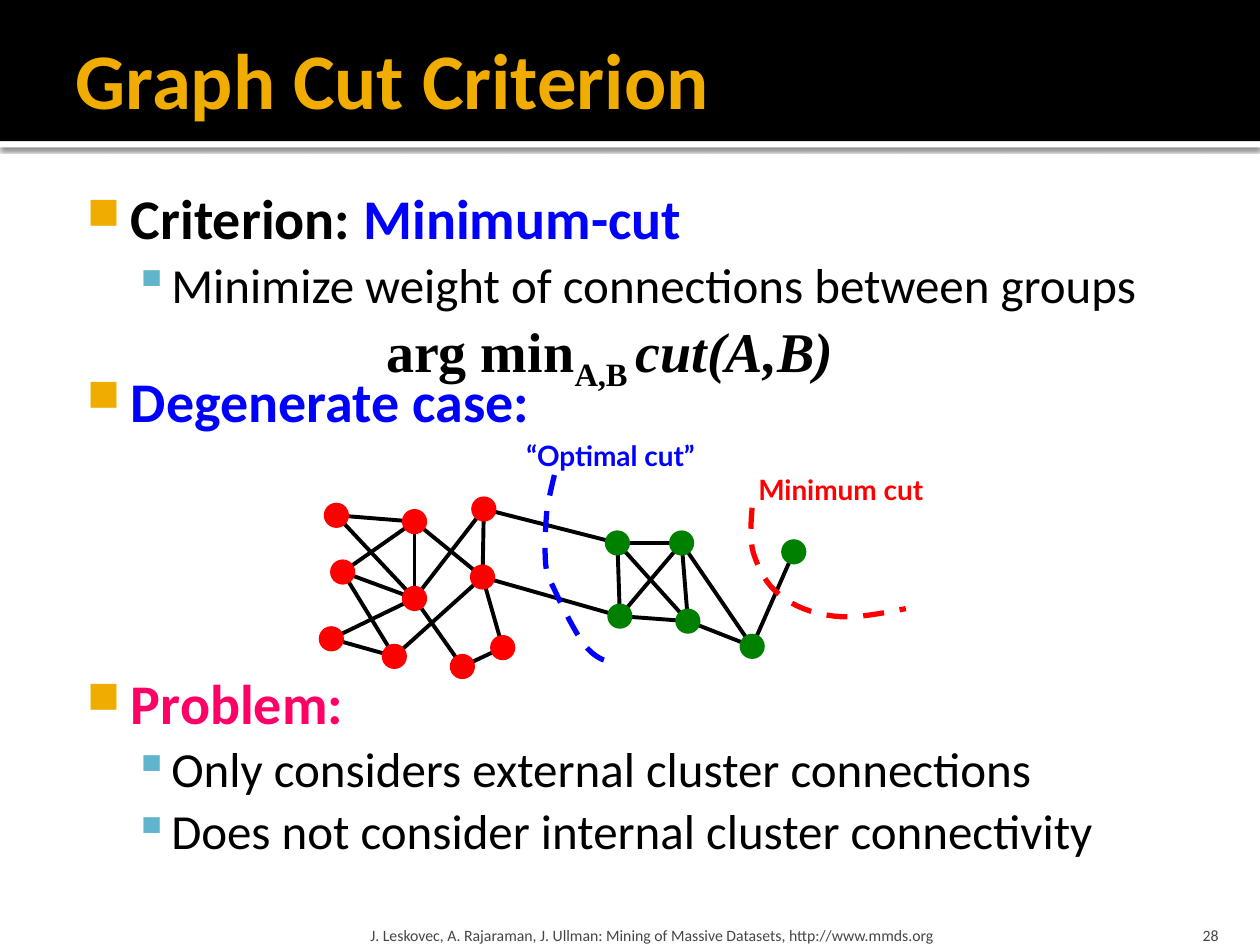
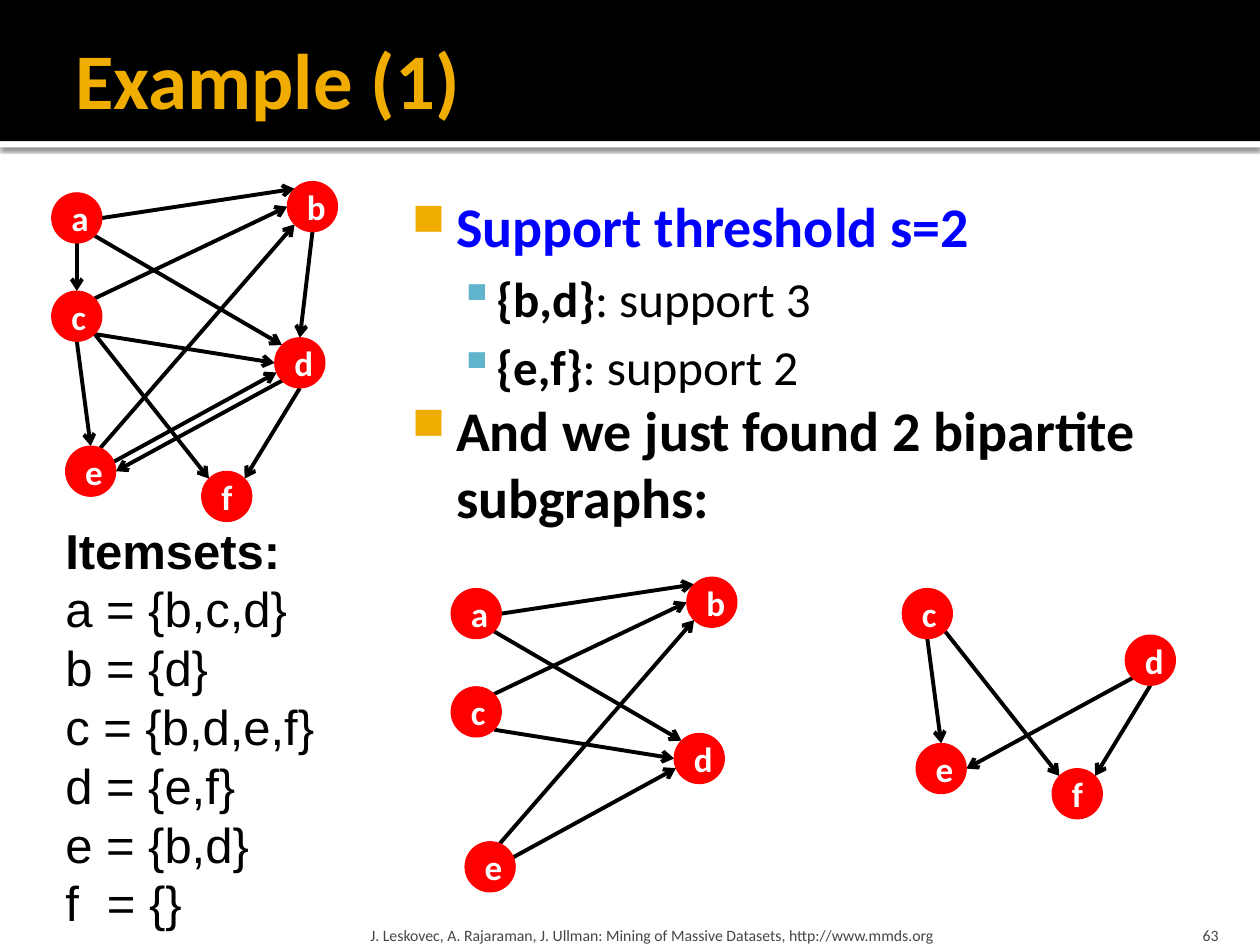
from math import cos, radians, sin

from lxml.etree import SubElement
from pptx import Presentation
from pptx.dml.color import RGBColor
from pptx.enum.dml import MSO_LINE as Dash
from pptx.enum.shapes import MSO_CONNECTOR as Connector, MSO_SHAPE as Shape
from pptx.enum.text import MSO_ANCHOR as Anchor, MSO_AUTO_SIZE as AutoSize, PP_ALIGN as Align
from pptx.oxml.ns import qn
from pptx.util import Pt

PX = 9144  # EMU per px, 100 px to the inch

BLACK = RGBColor(0x00, 0x00, 0x00)
WHITE = RGBColor(0xFF, 0xFF, 0xFF)
GOLD = RGBColor(0xF0, 0xAD, 0x00)
TEAL = RGBColor(0x60, 0xB5, 0xCC)
BLUE = RGBColor(0x00, 0x00, 0xFF)
RED = RGBColor(0xFF, 0x00, 0x00)
PINK = RGBColor(0xFF, 0x00, 0x66)
GREEN = RGBColor(0x00, 0x80, 0x00)
GRAY = RGBColor(0x45, 0x45, 0x45)

FOOTER = "J. Leskovec, A. Rajaraman, J. Ullman: Mining of Massive Datasets, http://www.mmds.org"
# Per outline level: left margin, hanging indent, text size, bullet, colour, percent
LEVELS = [(48, -35, 32, "■", GOLD, 80), (80, -30, 28, "▪", TEAL, 100)]
COMPASS = ["E", "ESE", "SE", "SSE", "S", "SSW", "SW", "WSW",
           "W", "WNW", "NW", "NNW", "N", "NNE", "NE", "ENE"]


class Deck:
    def __init__(self):
        self.prs = Presentation()
        self.prs.slide_width = 1000 * PX
        self.prs.slide_height = 750 * PX
        self.slide = None

    def new_slide(self, heading, number):
        self.slide = self.prs.slides.add_slide(self.prs.slide_layouts[5])
        # Title band with a shadowed white edge
        edge = self.shape(Shape.RECTANGLE, (0, 112, 1000, 5), WHITE)
        effects = edge._element.spPr.find(qn("a:effectLst"))
        shadow = SubElement(effects, qn("a:outerShdw"), blurRad=str(Pt(2.5)),
                            dist=str(Pt(0.8)), dir="5400000", rotWithShape="0")
        shade = SubElement(shadow, qn("a:srgbClr"), val=str(BLACK))
        SubElement(shade, qn("a:alpha"), val="60000")
        self.shape(Shape.RECTANGLE, (0, 0, 1000, 112), BLACK)
        # Title, in front of the band
        title = self.slide.shapes.title
        self.slide.shapes._spTree.append(title._element)
        title.left, title.top, title.width, title.height = (v * PX for v in (50, 8, 900, 108))
        self.frame(title, (10, 5, 5, 5), Anchor.MIDDLE)
        par = title.text_frame.paragraphs[0]
        par.alignment = Align.LEFT
        self.run(par, heading, 45, GOLD, bold=True)
        # Footer and page number
        self.text((289, 720, 602, 30), [[(FOOTER, 9, GRAY)]], (5, 5, 5, 0), Anchor.BOTTOM)
        self.text((897, 720, 80, 30), [[(number, 9, GRAY)]], (10, 5, 10, 0),
                  Anchor.BOTTOM, Align.RIGHT)

    def frame(self, box, insets, anchor, wrap=True):
        tf = box.text_frame
        tf.auto_size = AutoSize.NONE
        tf.word_wrap = wrap
        tf.vertical_anchor = anchor
        tf.margin_left, tf.margin_top, tf.margin_right, tf.margin_bottom = (
            v * PX for v in insets)
        return tf

    def run(self, par, words, size, color, bold=False, font="Calibri", italic=False, base=0):
        run = par.add_run()
        run.text = words
        run.font.size = Pt(size)
        run.font.name = font
        run.font.bold = bold
        run.font.italic = italic
        run.font.color.rgb = color
        if base:
            run._r.get_or_add_rPr().set("baseline", str(base * 1000))

    def text(self, area, paragraphs, insets=(10, 5, 10, 5), anchor=Anchor.TOP,
             align=Align.LEFT, wrap=True, leading=None, tab=None):
        box = self.slide.shapes.add_textbox(*(v * PX for v in area))
        tf = self.frame(box, insets, anchor, wrap)
        for i, runs in enumerate(paragraphs):
            par = tf.add_paragraph() if i else tf.paragraphs[0]
            par.alignment = align
            if leading:
                par.line_spacing = Pt(leading)
            if tab:
                tabs = SubElement(par._p.get_or_add_pPr(), qn("a:tabLst"))
                SubElement(tabs, qn("a:tab"), pos=str(tab * PX), algn="l")
            for run in runs:
                self.run(par, *run)

    def outline(self, area, items, line_spacing):
        """Each item is level, space before, and (words, colour, bold) runs."""
        box = self.slide.shapes.add_textbox(*(v * PX for v in area))
        tf = self.frame(box, (6, 10, 10, 5), Anchor.TOP)
        for i, (level, before, *runs) in enumerate(items):
            margin, indent, size, mark, color, percent = LEVELS[level]
            par = tf.add_paragraph() if i else tf.paragraphs[0]
            par.level = level
            par.line_spacing = line_spacing
            par.space_before = Pt(before)
            ppr = par._p.get_or_add_pPr()
            ppr.set("marL", str(margin * PX))
            ppr.set("indent", str(indent * PX))
            bullet_color = SubElement(ppr, qn("a:buClr"))
            SubElement(bullet_color, qn("a:srgbClr"), val=str(color))
            SubElement(ppr, qn("a:buSzPct"), val=str(percent * 1000))
            SubElement(ppr, qn("a:buChar"), char=mark)
            for words, ink, bold in runs:
                self.run(par, words, size, ink, bold)

    def shape(self, kind, area, fill):
        shape = self.slide.shapes.add_shape(kind, *(v * PX for v in area))
        shape.shadow.inherit = False
        shape.fill.solid()
        shape.fill.fore_color.rgb = fill
        shape.line.fill.background()
        return shape

    def node(self, center, radius, fill, label=None):
        x, y = center
        dot = self.shape(Shape.OVAL, (x - radius, y - radius, 2 * radius, 2 * radius), fill)
        if label:
            dot.line.color.rgb = fill
            dot.line.width = Pt(0.5)
            par = dot.text_frame.paragraphs[0]
            par.alignment = Align.CENTER
            self.run(par, label, 20, WHITE, bold=True)

    def edge(self, start, end, arrow=False):
        points = [round(v * PX) for v in (*start, *end)]
        line = self.slide.shapes.add_connector(Connector.STRAIGHT, *points)
        line.line.color.rgb = BLACK
        line.line.width = Pt(2.25)
        if arrow:
            SubElement(line.line._get_or_add_ln(), qn("a:tailEnd"), type="arrow")
        SubElement(line._element.spPr, qn("a:effectLst"))

    def dashed_curve(self, points, color, steps=8):
        """Draw joined cubic curves: a start, then three points for each curve."""
        trace = []
        for i in range(0, len(points) - 1, 3):
            for step in range(1, steps + 1):
                t = step / steps
                weights = ((1 - t) ** 3, 3 * t * (1 - t) ** 2, 3 * t * t * (1 - t), t ** 3)
                trace.append(tuple(
                    round(PX * sum(w * p[axis] for w, p in zip(weights, points[i:i + 4])))
                    for axis in (0, 1)))
        builder = self.slide.shapes.build_freeform(*(v * PX for v in points[0]), scale=1.0)
        builder.add_line_segments(trace, close=False)
        curve = builder.convert_to_shape()
        curve.shadow.inherit = False
        curve.fill.background()
        curve.line.color.rgb = color
        curve.line.width = Pt(3)
        curve.line.dash_style = Dash.DASH


def rim(center, direction, radius=20):
    angle = radians(22.5 * COMPASS.index(direction))
    return center[0] + radius * cos(angle), center[1] + radius * sin(angle)


def graph_cut(deck):
    deck.new_slide("Graph Cut Criterion", "28")
    deck.outline((50, 142, 900, 575), [
        (0, 0, ("Criterion: ", BLACK, True), ("Minimum-cut", BLUE, True)),
        (1, 5, ("Minimize weight of connections between groups", BLACK, False)),
        (0, 34.5, ("Degenerate case:", BLUE, True)),
        (0, 138, ("Problem:", PINK, True)),
        (1, 5, ("Only considers external cluster connections", BLACK, False)),
        (1, 5, ("Does not consider internal cluster connectivity", BLACK, False)),
    ], 0.9)
    serif = "Times New Roman"
    deck.text((273, 246, 422, 64), [[
        ("arg min", 32, BLACK, True, serif),
        ("A,B ", 32, BLACK, True, serif, False, -25),
        ("cut(A,B)", 32, BLACK, True, serif, True),
    ]], align=Align.CENTER)
    deck.text((408, 343, 174, 37), [[("“Optimal cut”", 16, BLUE, True, "Lato")]], wrap=False)
    deck.text((592, 370, 166, 37), [[("Minimum cut", 16, RED, True, "Lato")]], wrap=False)

    # Two clusters, with edges named by their end nodes
    left = {"A": (267, 409), "B": (329, 414), "C": (384, 404), "D": (383, 458),
            "E": (329, 475), "F": (272, 454), "G": (263, 507), "H": (313, 521),
            "I": (367, 529), "J": (399, 514)}
    right = {"K": (490, 431), "L": (541, 431), "M": (492, 489), "N": (546, 493),
             "O": (597, 513), "P": (630, 438)}
    centers = left | right
    for start, end in ("AB AE BD BE BF CD CE DH DJ EF EG EI FH GH IJ CK DM "
                       "KL KM KN LM LN LO MN NO OP").split():
        deck.edge(centers[start], centers[end])
    for cluster, color in ((left, RED), (right, GREEN)):
        for center in cluster.values():
            deck.node(center, 10, color)

    # The two cuts
    deck.dashed_curve([(597, 403), (596, 415), (595, 428), (598, 439), (602, 451),
                       (608, 464), (619, 472), (629, 481), (645, 487), (662, 489),
                       (679, 491), (699, 487), (719, 483)], RED)
    deck.dashed_curve([(440, 377), (438, 385), (436, 394), (434, 405), (433, 417),
                       (432, 436), (433, 447), (434, 458), (436, 459), (441, 470),
                       (446, 481), (457, 503), (464, 512), (472, 522), (479, 524),
                       (486, 526)], BLUE)


def example(deck):
    deck.new_slide("Example (1)", "63")
    deck.outline((308, 142, 683, 575), [
        (0, 0, ("Support threshold s=2", BLUE, True)),
        (1, 5.5, ("{b,d}", BLACK, True), (": support 3", BLACK, False)),
        (1, 5.5, ("{e,f}", BLACK, True), (": support 2", BLACK, False)),
        (0, 0, ("And we just found 2 bipartite subgraphs:", BLACK, True)),
    ], 1.0)
    itemsets = ["a = {b,c,d}", "b = {d}", "c = {b,d,e,f}", "d = {e,f}", "e = {b,d}", "f\t= {}"]
    deck.text((42, 408, 220, 340),
              [[("Itemsets:", 28, BLACK, True, "Arial")]]
              + [[(itemset, 28, BLACK, False, "Arial")] for itemset in itemsets],
              wrap=False, leading=33.6, tab=33)

    # The whole graph; each edge leaves and enters a node at a compass point
    centers = {"a": (61, 173), "b": (248, 164), "c": (61, 251),
               "d": (238, 288), "e": (72, 374), "f": (180, 394)}
    edges = [("a", "SE", "d", "NW"), ("a", "E", "b", "NW"), ("a", "S", "c", "N"),
             ("b", "S", "d", "N"), ("c", "NE", "b", "W"), ("c", "SE", "d", "W"),
             ("c", "S", "e", "N"), ("c", "SE", "f", "NW"), ("d", "SW", "e", "E"),
             ("d", "S", "f", "NE"), ("e", "ENE", "d", "WSW"), ("e", "NNE", "b", "SW")]
    # Sources, targets and offset of the graph and its bipartite subgraphs
    for sources, targets, dx, dy in (("abcdef", "abcdef", 0, 0),
                                     ("ace", "bd", 317, 314),
                                     ("cd", "ef", 675, 236)):
        spots = {name: (x + dx, y + dy) for name, (x, y) in centers.items()
                 if name in sources + targets}
        for source, leave, target, enter in edges:
            if source in sources and target in targets:
                deck.edge(rim(spots[source], leave), rim(spots[target], enter), arrow=True)
        for name, center in spots.items():
            deck.node(center, 20, RED, name)


def main():
    deck = Deck()
    graph_cut(deck)
    example(deck)
    deck.prs.save("out.pptx")


if __name__ == "__main__":
    main()
